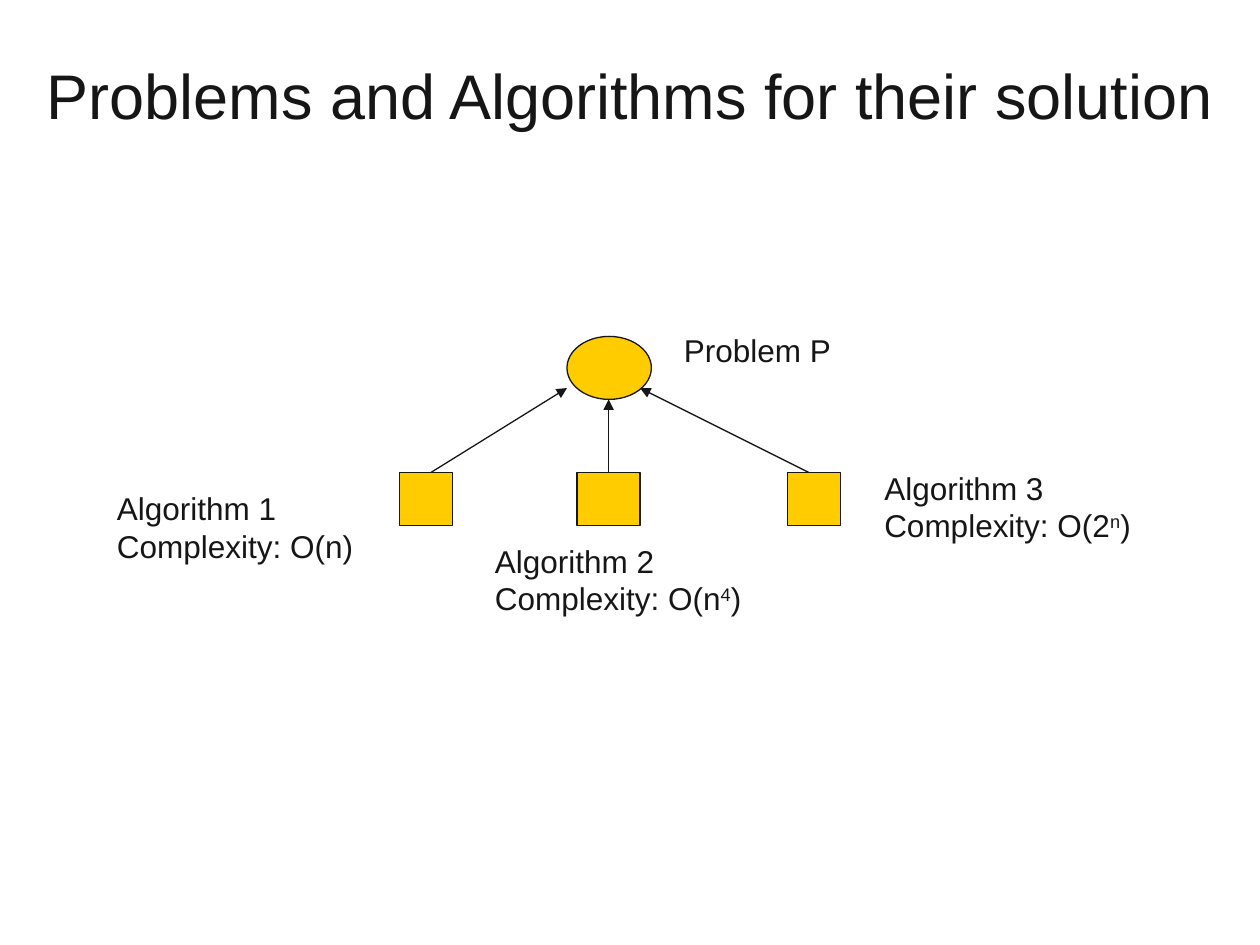
from pptx import Presentation
from pptx.dml.color import RGBColor
from pptx.enum.shapes import MSO_CONNECTOR, MSO_SHAPE
from pptx.enum.text import MSO_ANCHOR, PP_ALIGN
from pptx.oxml.ns import qn
from pptx.util import Inches, Pt
from lxml.etree import SubElement

INK, GOLD = "161616", "FFCC00"


def color(fmt, hex_value):
    fmt.rgb = RGBColor.from_string(hex_value)


def add_text(box, lines, size, align=PP_ALIGN.LEFT):
    """Add a text box; each line is a list of runs, every second one superscript."""
    tf = s.shapes.add_textbox(*map(Inches, box)).text_frame
    tf.word_wrap = True
    for i, line in enumerate(lines):
        p = tf.paragraphs[0] if i == 0 else tf.add_paragraph()
        p.alignment = align
        p.font.name, p.font.size = "Arial", Pt(size)
        color(p.font.color, INK)
        for j, text in enumerate(line):
            r = p.add_run()
            r.text = text
            if j % 2:
                r.font._element.set("baseline", "30000")
    return tf


prs = Presentation()
prs.slide_width, prs.slide_height = Inches(10), Inches(7.5)
s = prs.slides.add_slide(prs.slide_layouts[6])

title = add_text((0, 0, 10, 1.5), [["Problems and Algorithms for their solution"]],
                 36, PP_ALIGN.CENTER)
title.vertical_anchor = MSO_ANCHOR.MIDDLE

# Problem node above the three algorithm nodes
nodes = [(MSO_SHAPE.OVAL, 4.5, 2.67, 0.67, 0.5)]
nodes += [(MSO_SHAPE.RECTANGLE, x, 3.75, w, 0.42)
          for x, w in ((3.17, 0.42), (4.58, 0.5), (6.25, 0.42))]
for kind, *box in nodes:
    sp = s.shapes.add_shape(kind, *map(Inches, box))
    sp.shadow.inherit = False
    sp.fill.solid()
    color(sp.fill.fore_color, GOLD)
    color(sp.line.color, INK)
    sp.line.width = Pt(0.75)

# Arrows from the algorithms up to the problem
for x1, x2, y2 in ((3.42, 4.5, 3.08), (4.83, 4.83, 3.17), (6.42, 5.08, 3.08)):
    arrow = s.shapes.add_connector(MSO_CONNECTOR.STRAIGHT,
                                   *map(Inches, (x1, 3.75, x2, y2)))
    color(arrow.line.color, INK)
    arrow.line.width = Pt(0.75)
    SubElement(arrow.line._get_or_add_ln(), qn("a:tailEnd"), type="triangle")
    SubElement(arrow._element.spPr, qn("a:effectLst"))

labels = [
    ((5.33, 2.58, 1.67, 0.4), [["Problem P"]]),
    ((0.83, 3.83, 2.1, 0.7), [["Algorithm 1"], ["Complexity: O(n)"]]),
    ((3.83, 4.25, 2.17, 0.7), [["Algorithm 2"], ["Complexity: O(n", "4", ")"]]),
    ((6.92, 3.67, 2.17, 0.7), [["Algorithm 3"], ["Complexity: O(2", "n", ")"]]),
]
for box, lines in labels:
    add_text(box, lines, 18)

prs.save("out.pptx")
